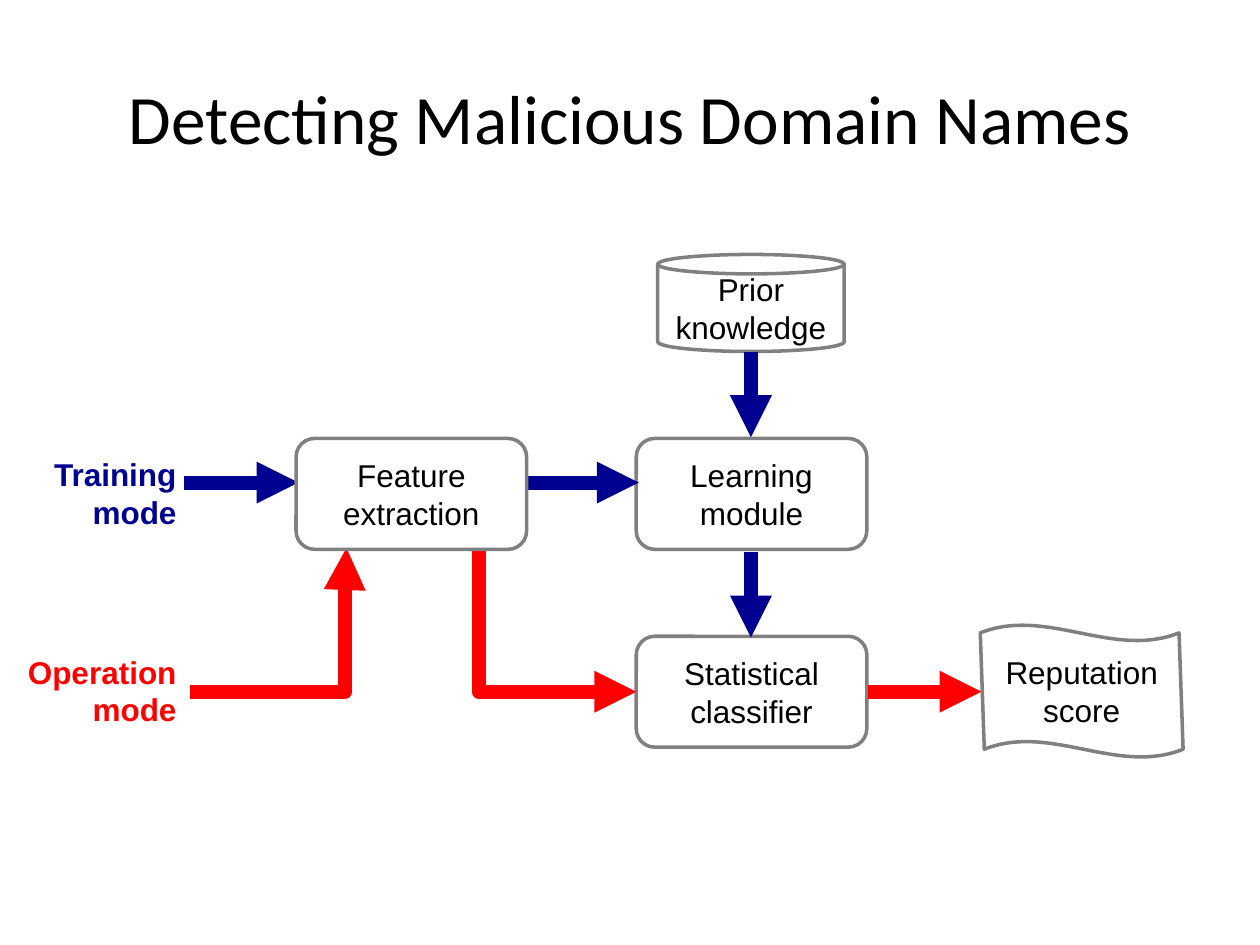
import dataclasses
import pptx
import pptx.dml.color
import pptx.enum.shapes
import pptx.enum.text
import pptx.oxml
import pptx.oxml.ns
import pptx.util

KIND = pptx.enum.shapes.MSO_SHAPE
LINK = pptx.enum.shapes.MSO_CONNECTOR
ALIGN = pptx.enum.text.PP_ALIGN
MID = pptx.enum.text.MSO_ANCHOR.MIDDLE
COLS = 100
WIDE = pptx.util.Inches(10)
HIGH = pptx.util.Inches(7.5)


@dataclasses.dataclass(frozen=True)
class Theme:
    ink: str = "000000"
    paper: str = "FFFFFF"
    edge: str = "808080"
    train: str = "000090"
    run: str = "FF0000"
    head: str = "Calibri"
    body: str = "Arial"
    big: float = 39.6
    text: float = 18
    thin: float = 2
    thick: float = 8


LOOK = Theme()


def cells(*counts):
    return [round(count * WIDE / COLS) for count in counts]


def tint(code):
    return pptx.dml.color.RGBColor.from_string(code)


def write(frame, text, size, face, color, align, bold=False):
    frame.text = text
    for para in frame.paragraphs:
        para.alignment = align
        for run in para.runs:
            run.font.size = pptx.util.Pt(size)
            run.font.name = face
            run.font.bold = bold
            run.font.color.rgb = tint(color)


def title(slide, text):
    box = slide.shapes.add_textbox(*cells(5, 3, 90, 12.5))
    frame = box.text_frame
    frame.word_wrap = True
    frame.vertical_anchor = MID
    write(frame, text, LOOK.big, LOOK.head, LOOK.ink, ALIGN.CENTER)


def label(slide, text, left, top, wide, color):
    box = slide.shapes.add_textbox(*cells(left, top, wide, 7.1))
    box.text_frame.word_wrap = False
    write(box.text_frame, text, LOOK.text, LOOK.body, color, ALIGN.RIGHT, True)


def node(slide, kind, text, place, bends=(), solid=False):
    shape = slide.shapes.add_shape(kind, *cells(*place))
    shape.shadow.inherit = False
    for spot, bend in enumerate(bends):
        shape.adjustments[spot] = bend
    if solid:
        shape.fill.solid()
        shape.fill.fore_color.rgb = tint(LOOK.paper)
    else:
        shape.fill.background()
    shape.line.color.rgb = tint(LOOK.edge)
    shape.line.width = pptx.util.Pt(LOOK.thin)
    frame = shape.text_frame
    frame.word_wrap = True
    frame.vertical_anchor = MID
    write(frame, text, LOOK.text, LOOK.body, LOOK.ink, ALIGN.CENTER)


def arrow(slide, start, end, color, bend=None):
    kind = LINK.STRAIGHT if bend is None else LINK.ELBOW
    link = slide.shapes.add_connector(kind, *cells(*start, *end))
    link.line.color.rgb = tint(color)
    link.line.width = pptx.util.Pt(LOOK.thick)
    tag = pptx.oxml.ns.qn
    props = link._element.spPr
    tip = link.line._get_or_add_ln().makeelement(tag("a:tailEnd"), {"type": "triangle"})
    link.line._get_or_add_ln().append(tip)
    props.append(props.makeelement(tag("a:effectLst"), {}))
    if bend is not None:
        guides = props.find(".//" + tag("a:avLst"))
        rule = {"name": "adj1", "fmla": f"val {round(bend * 100000)}"}
        guides.append(guides.makeelement(tag("a:gd"), rule))


def main():
    deck = pptx.Presentation()
    deck.slide_width, deck.slide_height = WIDE, HIGH
    slide = deck.slides.add_slide(deck.slide_layouts[6])
    title(slide, "Detecting Malicious Domain Names")

    left, right, upper, lower = 23.5, 50.5, 34.8, 50.5
    size = (18.3, 8.8)
    axis, train, run = 59.6, 38.3, 54.9
    box = KIND.ROUNDED_RECTANGLE
    node(slide, box, "Learning module", (right, upper, *size))
    node(slide, box, "Statistical classifier", (right, lower, *size))
    label(slide, "Training\nmode", 3.2, 35.6, 11.8, LOOK.train)
    label(slide, "Operation\nmode", 1.1, 51.3, 13.9, LOOK.run)
    node(slide, KIND.CAN, "Prior knowledge", (52.2, 20.2, 14.8, 7.7), [0.2], True)
    node(slide, KIND.WAVE, "Reputation score", (77.8, 49.6, 16.1, 10.5), [0.06, 0.01])

    arrow(slide, (14.6, train), (23.7, train), LOOK.train)
    arrow(slide, (41.7, train), (50.7, train), LOOK.train)
    arrow(slide, (axis, 27.9), (axis, 34.7), LOOK.train)
    arrow(slide, (axis, 43.8), (axis, 50.6), LOOK.train)
    arrow(slide, (15.1, run), (27.5, 43.5), LOOK.run, 0.99)
    arrow(slide, (37.6, 42.7), (right, run), LOOK.run, 0.03)
    arrow(slide, (68.9, run), (77.9, run), LOOK.run)
    node(slide, box, "Feature extraction", (left, upper, *size), solid=True)
    deck.save("out.pptx")


if __name__ == "__main__":
    main()
